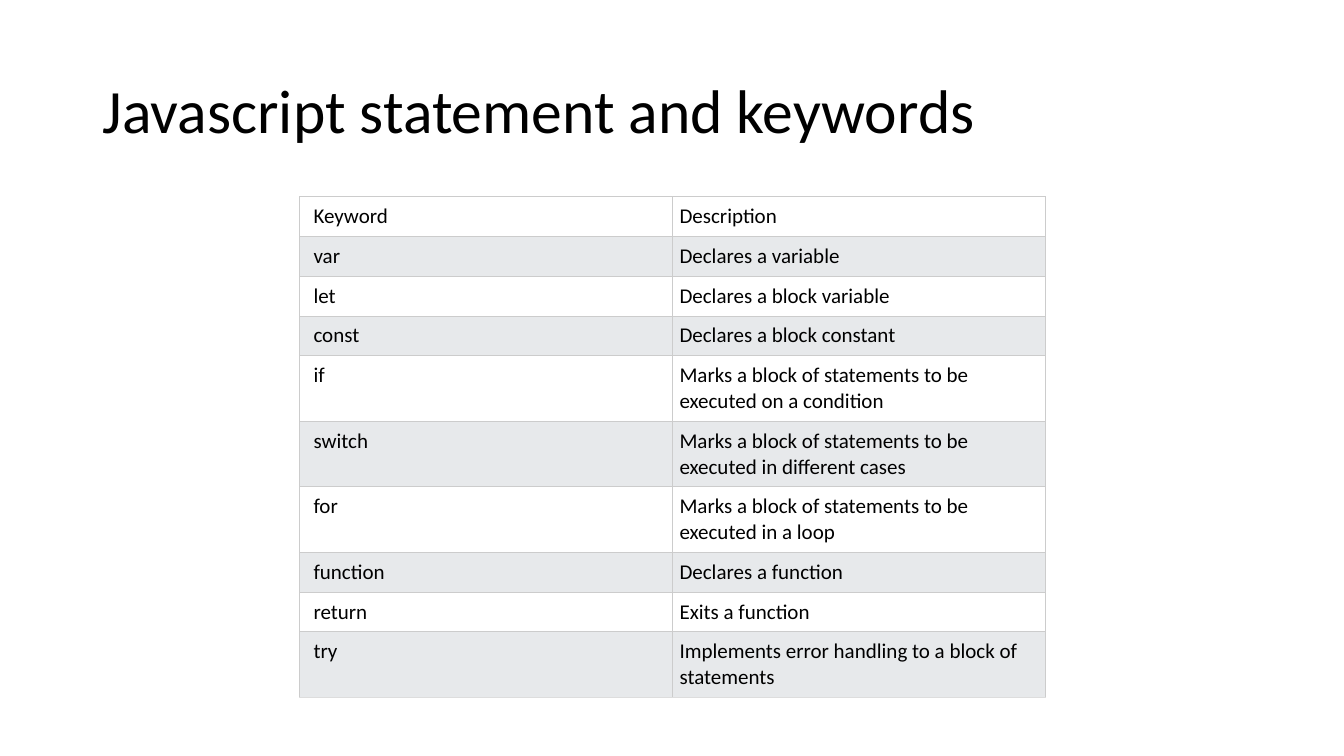
"""Build a slide with a table of Javascript keywords and their descriptions."""
from dataclasses import dataclass

from lxml.etree import SubElement
from pptx import Presentation
from pptx.dml.color import RGBColor
from pptx.enum.text import MSO_ANCHOR as Anchor, MSO_AUTO_SIZE as AutoSize, PP_ALIGN as Align
from pptx.oxml.ns import qn
from pptx.util import Emu, Pt

EMU_PER_PX = 9144
FONT = "Calibri"
BLACK = RGBColor(0x00, 0x00, 0x00)
WHITE = RGBColor(0xFF, 0xFF, 0xFF)
BAND = RGBColor(0xE7, 0xE9, 0xEB)
BORDER = RGBColor(0xCC, 0xCC, 0xCC)
LAST_BORDER = RGBColor(0xDD, 0xDD, 0xDD)
BORDER_WIDTH = Pt(0.75)
COLUMN_WIDTH = 370
PADDING = 7
FIRST_COLUMN_PADDING = 14


@dataclass(frozen=True)
class KeywordRow:
    keyword: str
    description: str
    height: int = 38


TALL = 62
ROWS = [
    KeywordRow("Keyword", "Description"),
    KeywordRow("var", "Declares a variable"),
    KeywordRow("let", "Declares a block variable"),
    KeywordRow("const", "Declares a block constant"),
    KeywordRow("if", "Marks a block of statements to be executed on a condition", TALL),
    KeywordRow("switch", "Marks a block of statements to be executed in different cases", TALL),
    KeywordRow("for", "Marks a block of statements to be executed in a loop", TALL),
    KeywordRow("function", "Declares a function"),
    KeywordRow("return", "Exits a function"),
    KeywordRow("try", "Implements error handling to a block of statements", TALL),
]


def px(length: int) -> Emu:
    """Convert whole pixels to EMU."""
    return Emu(length * EMU_PER_PX)


def format_runs(paragraph, size: int) -> None:
    """Give every run of a paragraph the slide's font."""
    for run in paragraph.runs:
        run.font.name = FONT
        run.font.size = Pt(size)
        run.font.bold = False
        run.font.color.rgb = BLACK


def set_borders(cell, bottom: RGBColor) -> None:
    """Draw the four borders of a cell."""
    properties = cell._tc.get_or_add_tcPr()
    sides = {"a:lnL": BORDER, "a:lnR": BORDER, "a:lnT": BORDER, "a:lnB": bottom}
    for tag, color in sides.items():
        line = SubElement(properties, qn(tag), w=str(BORDER_WIDTH))
        fill = SubElement(line, qn("a:solidFill"))
        SubElement(fill, qn("a:srgbClr"), val=str(color))


def format_title(title) -> None:
    """Place and format the title placeholder."""
    title.left, title.top, title.width, title.height = map(px, (92, 40, 1150, 145))
    frame = title.text_frame
    frame.text = "Javascript statement and keywords"
    frame.auto_size = AutoSize.NONE
    frame.vertical_anchor = Anchor.MIDDLE
    paragraph = frame.paragraphs[0]
    paragraph.alignment = Align.LEFT
    paragraph.line_spacing = 0.9
    format_runs(paragraph, 44)


def fill_cell(cell, text: str, left_padding: int, fill: RGBColor, bottom: RGBColor) -> None:
    """Write and format one table cell."""
    cell.margin_left = px(left_padding)
    cell.margin_top = cell.margin_right = cell.margin_bottom = px(PADDING)
    cell.vertical_anchor = Anchor.TOP
    cell.text_frame.text = text
    format_runs(cell.text_frame.paragraphs[0], 15)
    set_borders(cell, bottom)
    cell.fill.solid()
    cell.fill.fore_color.rgb = fill


def add_keyword_table(slide) -> None:
    """Add the banded keyword table."""
    height = sum(row.height for row in ROWS)
    table = slide.shapes.add_table(
        len(ROWS), 2, px(297), px(195), px(2 * COLUMN_WIDTH), px(height)
    ).table
    table.first_row = False
    table.horz_banding = False
    for column in table.columns:
        column.width = px(COLUMN_WIDTH)
    for index, row in enumerate(ROWS):
        table.rows[index].height = px(row.height)
        fill = BAND if index % 2 else WHITE
        bottom = LAST_BORDER if index == len(ROWS) - 1 else BORDER
        fill_cell(table.cell(index, 0), row.keyword, FIRST_COLUMN_PADDING, fill, bottom)
        fill_cell(table.cell(index, 1), row.description, PADDING, fill, bottom)


def main() -> None:
    """Create and save the presentation."""
    presentation = Presentation()
    presentation.slide_width, presentation.slide_height = px(1333), px(750)
    slide = presentation.slides.add_slide(presentation.slide_layouts[5])
    format_title(slide.shapes.title)
    add_keyword_table(slide)
    presentation.save("out.pptx")


if __name__ == "__main__":
    main()
